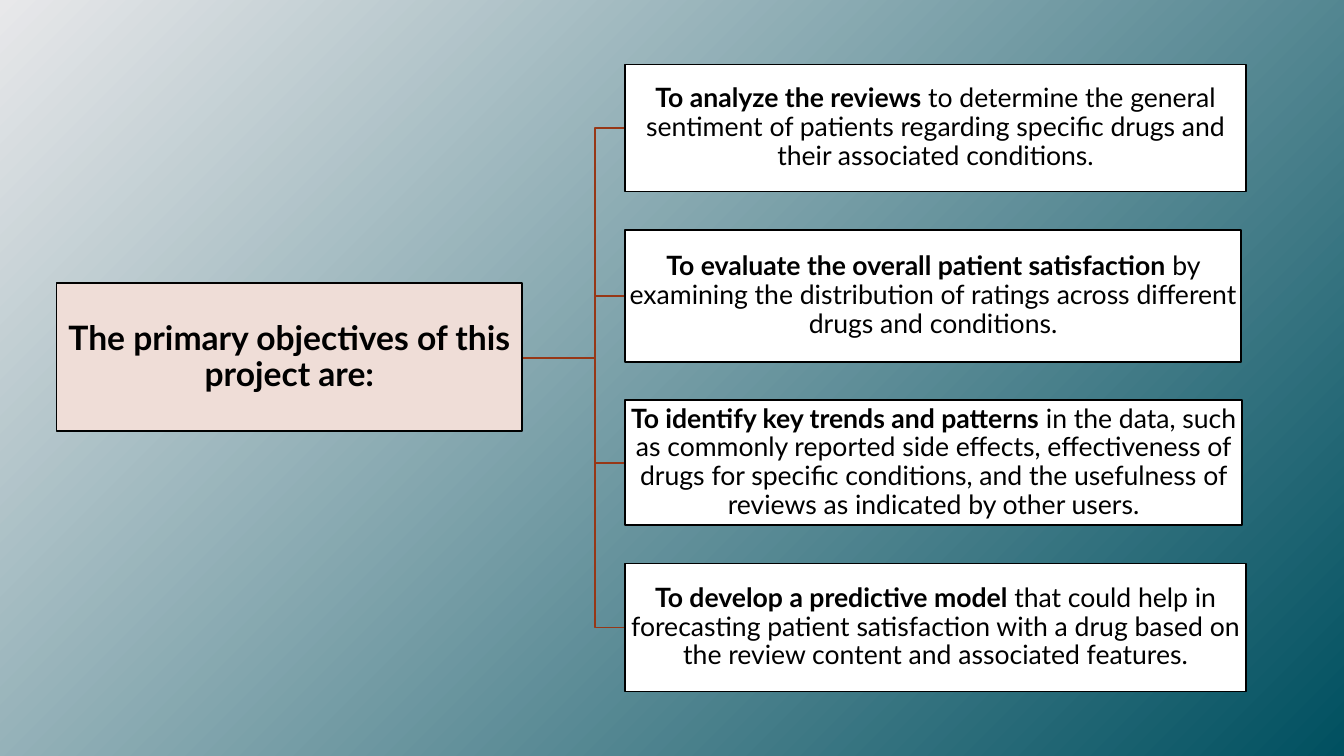
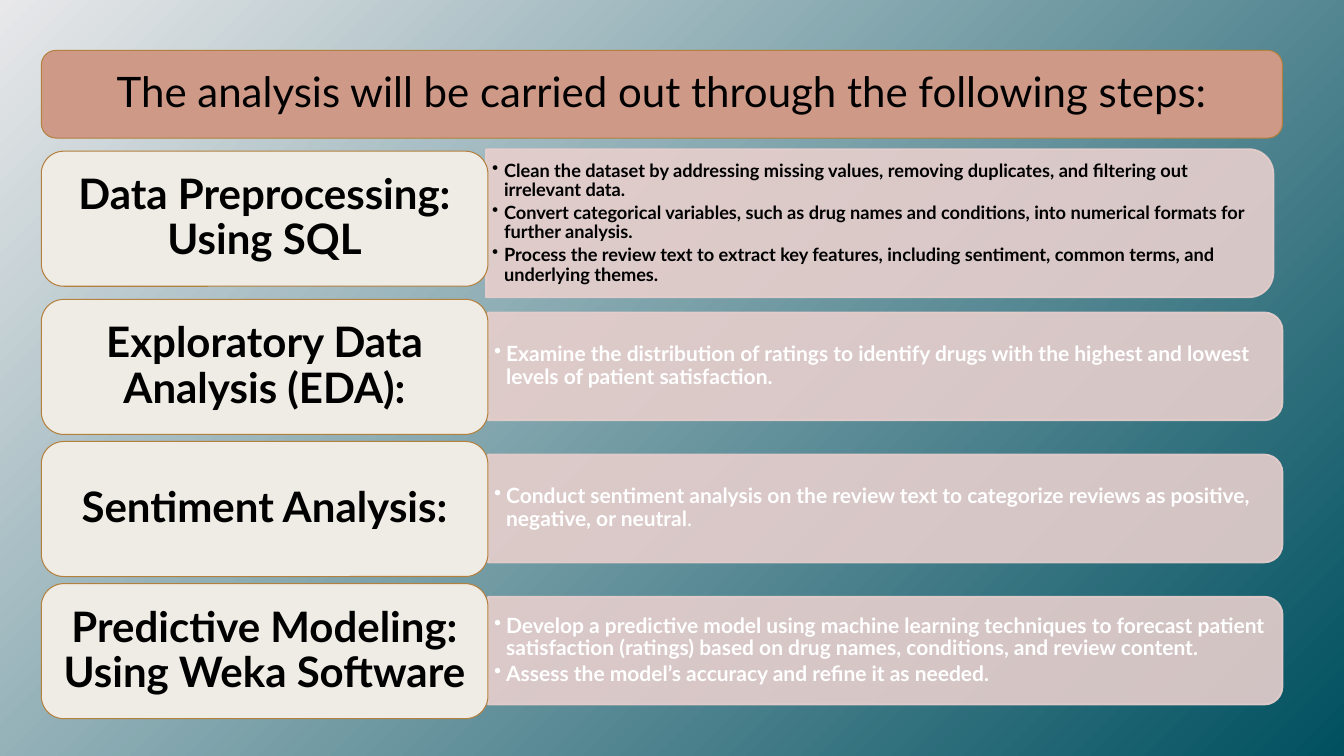
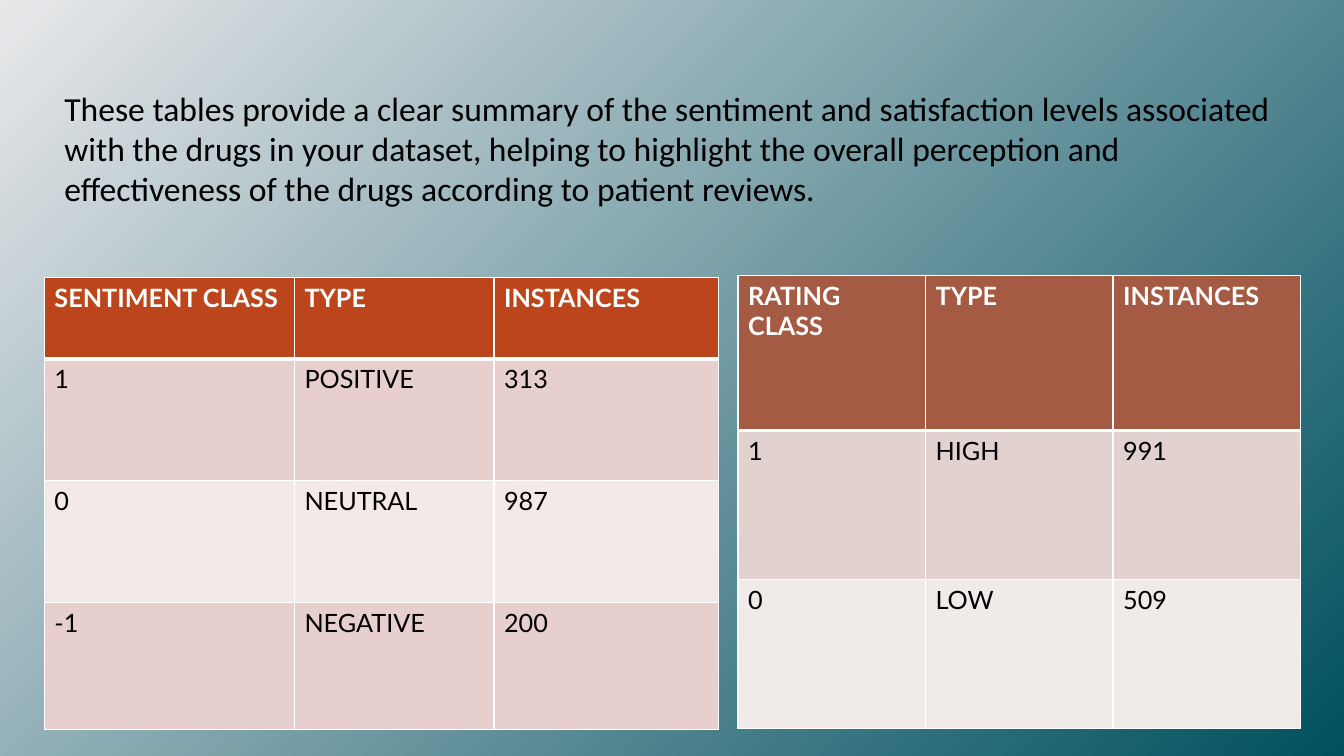
from lxml import etree
from pptx import Presentation
from pptx import util as u
from pptx.dml import color
from pptx.enum import shapes, text
from pptx.oxml import ns

FONT = "Lato"
BLACK, WHITE = "000000", "FFFFFF"
BRANCH, GOAL_FILL = "973716", "EFDDD7"
PANEL, LABEL, HEADING, LABEL_LINE = "E7CFCD", "EFEBE5", "CF9988", "B3803D"
DARK, PALE = "005060", "E8E8EA"

OBJECTIVES = [
    (0.64, 6.16, 1.26, "To analyze the reviews",
     " to determine the general sentiment of patients regarding specific drugs and their associated conditions."),
    (2.28, 6.11, 1.31, "To evaluate the overall patient satisfaction",
     " by examining the distribution of ratings across different drugs and conditions."),
    (3.97, 6.12, 1.24, "To identify key trends and patterns",
     " in the data, such as commonly reported side effects, effectiveness of drugs for specific conditions, "
     "and the usefulness of reviews as indicated by other users."),
    (5.59, 6.16, 1.27, "To develop a predictive model",
     " that could help in forecasting patient satisfaction with a drug based on the review content "
     "and associated features."),
]

FIRST_STEP = ("Data Preprocessing: Using SQL", [
    [("Clean the dataset by addressing missing values, removing duplicates, and filtering out irrelevant data.", True)],
    [("Convert categorical variables, such as drug names and conditions, into numerical formats for further analysis.",
      True)],
    [("Process the review text to extract key features, including sentiment, common terms, and underlying themes.",
      True)],
])
NEXT_STEPS = [
    ("Exploratory Data Analysis (EDA):", [
        [("Examine the distribution of ratings to identify drugs with the highest and lowest levels of "
          "patient satisfaction.", True)]]),
    ("Sentiment Analysis:", [
        [("Conduct sentiment analysis on the review text to categorize reviews as positive, negative, or neutral", True),
         (".", False)]]),
    ("Predictive Modeling: Using Weka Software", [
        [("Develop a predictive model using machine learning techniques to forecast patient satisfaction (ratings) "
          "based on drug names, conditions, and review content.", True)],
        [("Assess the model’s accuracy and refine it as needed.", True)]]),
]

SENTIMENT = [("SENTIMENT CLASS", "TYPE", "INSTANCES"),
             ("1", "POSITIVE", "313"), ("0", "NEUTRAL", "987"), ("-1", "NEGATIVE", "200")]
RATING = [("RATING CLASS", "TYPE", "INSTANCES"), ("1", "HIGH", "991"), ("0", "LOW", "509")]
SUMMARY = ("These tables provide a clear summary of the sentiment and satisfaction levels associated with the drugs "
           "in your dataset, helping to highlight the overall perception and effectiveness of the drugs "
           "according to patient reviews.")


def rgb(value):
    return color.RGBColor.from_string(value)


def inches(*values):
    return [u.Inches(v) for v in values]


def sub(parent, tag, **attrs):
    return etree.SubElement(parent, ns.qn(tag), attrs)


def apply(target, formats):
    for name, value in formats.items():
        setattr(target, name, value)


def set_background(prs):
    fill = prs.slide_master.background.fill
    fill.gradient()
    for stop, value in zip(fill.gradient_stops, (DARK, PALE)):
        stop.color.rgb = rgb(value)
    lin = next(prs.slide_master.element.iter(ns.qn("a:lin")))
    grad = lin.getparent()
    grad.remove(lin)
    sub(sub(grad, "a:path", path="circle"), "a:fillToRect", l="100000", t="100000")
    sub(grad, "a:tileRect", r="-100000", b="-100000")


def set_opacity(sp, percent):
    for clr in sp.element.spPr.iter(ns.qn("a:srgbClr")):
        sub(clr, "a:alpha", val=str(percent * 1000))


def style_line(sp, line, width):
    sp.shadow.inherit = False
    sp.line.color.rgb = rgb(line)
    sp.line.width = u.Pt(width)


def add_box(s, kind, at, fill, line, width):
    sp = s.shapes.add_shape(kind, *inches(*at))
    sp.fill.solid()
    sp.fill.fore_color.rgb = rgb(fill)
    style_line(sp, line, width)
    return sp


def add_runs(p, runs, size, ink=BLACK, font=FONT):
    for words, bold in runs:
        r = p.add_run()
        r.text = words
        apply(r.font, {"name": font, "size": u.Pt(size), "bold": bold})
        r.font.color.rgb = rgb(ink)


def set_frame(sp, side, top):
    tf = sp.text_frame
    apply(tf, {"word_wrap": True, "vertical_anchor": text.MSO_ANCHOR.MIDDLE,
               "margin_left": u.Inches(side), "margin_right": u.Inches(side),
               "margin_top": u.Inches(top), "margin_bottom": u.Inches(top)})
    return tf


def add_centred_text(sp, runs, size, side, top):
    p = set_frame(sp, side, top).paragraphs[0]
    apply(p, {"alignment": text.PP_ALIGN.CENTER, "line_spacing": 0.9})
    add_runs(p, runs, size)


def add_bullets(s, at, items, size, ink):
    tf = set_frame(s.shapes.add_textbox(*inches(*at)), 0.06, 0.03)
    for i, runs in enumerate(items):
        p = tf.add_paragraph() if i else tf.paragraphs[0]
        apply(p, {"line_spacing": 0.9, "space_after": u.Pt(size * 0.15)})
        pPr = p._p.get_or_add_pPr()
        indent = u.Inches(0.12)
        pPr.set("marL", str(indent))
        pPr.set("indent", str(-indent))
        sub(pPr, "a:buChar", char="•")
        add_runs(p, runs, size, ink)


def add_branch(s, start, trunk, end):
    (x1, y1), (x2, y2) = inches(*start), inches(*end)
    bend = u.Inches(trunk)
    path_builder = s.shapes.build_freeform(x1, y1)
    path_builder.add_line_segments([(bend, y1), (bend, y2), (x2, y2)], close=False)
    sp = path_builder.convert_to_shape()
    sp.fill.background()
    style_line(sp, BRANCH, 1.25)


def add_step(s, label_top, step, panel, size, ink):
    label, items = step
    left, top, width, height = panel
    turned = (left + (width - height) / 2, top + (height - width) / 2, height, width)
    sp = add_box(s, shapes.MSO_SHAPE.ROUND_2_SAME_RECTANGLE, turned, PANEL, PANEL, 1.25)
    sp.rotation = 90
    set_opacity(sp, 90)
    add_bullets(s, (left, top + 0.05, width - 0.06, height - 0.1), items, size, ink)
    sp = add_box(s, shapes.MSO_SHAPE.ROUNDED_RECTANGLE, (0.41, label_top, 4.43, 1.34), LABEL, LABEL_LINE, 0.75)
    add_centred_text(sp, [(label, True)], 30, 0.12, 0.06)


def style_cell(cell, fill, top, bottom):
    tcPr = cell._tc.get_or_add_tcPr()
    for side, width in (("L", 1), ("R", 1), ("T", top), ("B", bottom)):
        ln = sub(tcPr, f"a:ln{side}", w=str(u.Pt(width)))
        sub(sub(ln, "a:solidFill"), "a:srgbClr", val=WHITE)
    cell.fill.solid()
    cell.fill.fore_color.rgb = rgb(fill)


def add_class_table(s, left, top, widths, heights, rows, header, bands):
    at = inches(left, top, sum(widths), sum(heights))
    table = s.shapes.add_table(len(rows), len(widths), *at).table
    for column, width in zip(table.columns, widths):
        column.width = u.Inches(width)
    for i, (row, height) in enumerate(zip(rows, heights)):
        table.rows[i].height = u.Inches(height)
        fill = bands[(i - 1) % 2] if i else header
        for j, words in enumerate(row):
            cell = table.cell(i, j)
            style_cell(cell, fill, 3 if i == 1 else 1, 1 if i else 3)
            add_runs(cell.text_frame.paragraphs[0], [(words, i == 0)], 18, BLACK if i else WHITE)


def build_objectives(s):
    for top, width, height, lead, rest in reversed(OBJECTIVES):
        add_branch(s, (5.18, 3.55), 5.9, (6.2, top + height / 2))
    rect = shapes.MSO_SHAPE.RECTANGLE
    sp = add_box(s, rect, (0.56, 2.81, 4.62, 1.47), GOAL_FILL, BLACK, 1.25)
    add_centred_text(sp, [("The primary objectives of this project are:", True)], 24, 0.02, 0.02)
    for top, width, height, lead, rest in OBJECTIVES:
        sp = add_box(s, rect, (6.2, top, width, height), WHITE, BLACK, 1.25)
        add_centred_text(sp, [(lead, True), (rest, False)], 19, 0.01, 0.01)


def build_steps(s):
    sp = add_box(s, shapes.MSO_SHAPE.ROUNDED_RECTANGLE, (0.41, 0.5, 12.31, 0.87), HEADING, LABEL_LINE, 0.75)
    add_centred_text(sp, [("The analysis will be carried out through the following steps:", False)], 30, 0.12, 0.06)
    add_step(s, 1.5, FIRST_STEP, (4.82, 1.48, 7.81, 1.47), 13, BLACK)
    for i, step in enumerate(NEXT_STEPS):
        top = 2.97 + 1.41 * i
        add_step(s, top, step, (4.84, top + 0.13, 7.88, 1.07), 15, WHITE)


def build_tables(s):
    add_class_table(s, 0.44, 2.75, (2.48, 1.98, 2.23), (0.81, 1.21, 1.21, 1.26),
                    SENTIMENT, "BC451B", ("E7CFCD", "F3E9E8"))
    add_class_table(s, 7.32, 2.73, (1.86,) * 3, (1.54, 1.48, 1.48),
                    RATING, "A55A43", ("E1D2CF", "F0EAE9"))
    tf = s.shapes.add_textbox(*inches(0.54, 0.82, 12.27, 1.31)).text_frame
    apply(tf, {"word_wrap": True, "auto_size": text.MSO_AUTO_SIZE.SHAPE_TO_FIT_TEXT})
    add_runs(tf.paragraphs[0], [(SUMMARY, False)], 24, font="Calibri")


def main():
    prs = Presentation()
    apply(prs, {"slide_width": u.Inches(13.33), "slide_height": u.Inches(7.5)})
    set_background(prs)
    for build in (build_objectives, build_steps, build_tables):
        build(prs.slides.add_slide(prs.slide_layouts[6]))
    prs.save("out.pptx")


if __name__ == "__main__":
    main()
